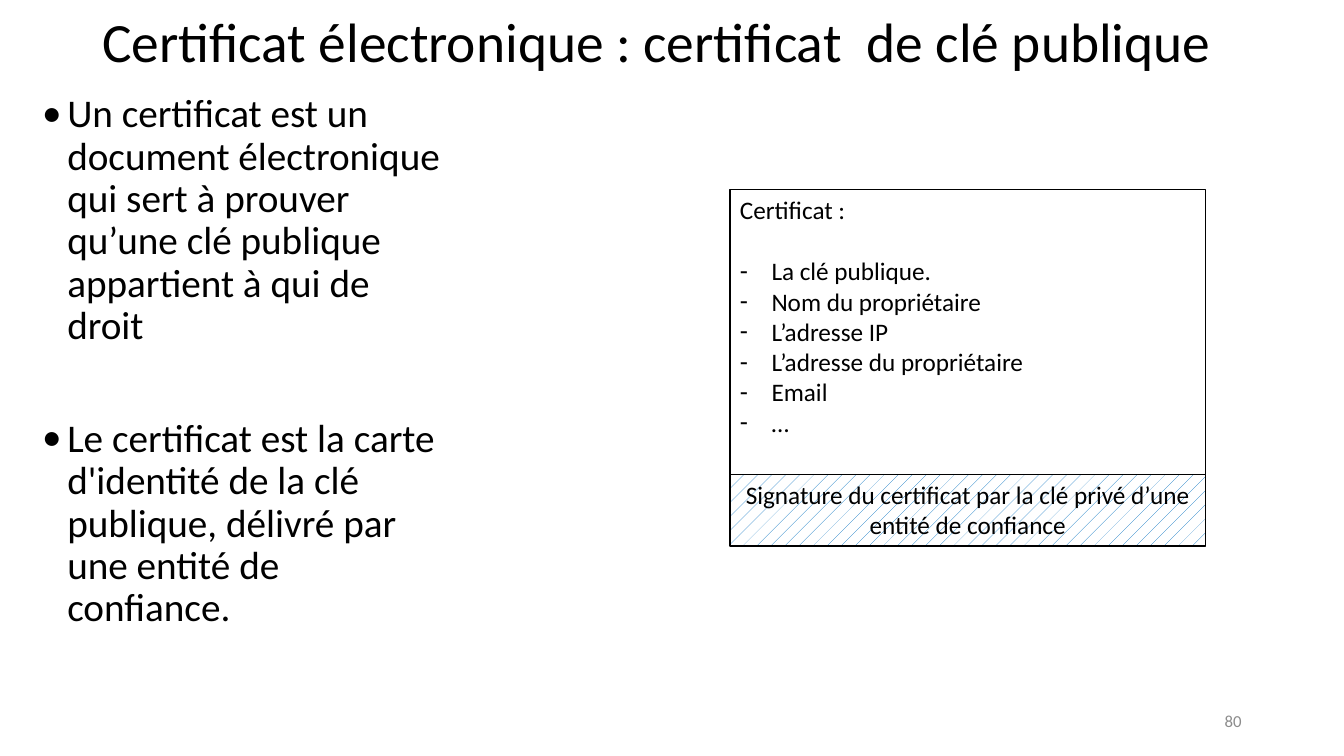
"""Build the slide on public key certificates."""
from lxml.etree import SubElement
from pptx import Presentation
from pptx.dml.color import RGBColor
from pptx.enum.dml import MSO_PATTERN
from pptx.enum.shapes import MSO_SHAPE
from pptx.enum.text import MSO_ANCHOR, PP_ALIGN
from pptx.oxml.ns import qn
from pptx.util import Pt

BLACK = RGBColor(0x00, 0x00, 0x00)
WHITE = RGBColor(0xFF, 0xFF, 0xFF)
BLUE = RGBColor(0x00, 0x70, 0xC0)
GREY = RGBColor(0x8C, 0x8C, 0x8C)
FONT = "Calibri"
POINTS = [
    "Un certificat est un document électronique qui sert à prouver "
    "qu’une clé publique appartient à qui de droit",
    "Le certificat est la carte d'identité de la clé publique, "
    "délivré par une entité de confiance.",
]
FIELDS = [
    "La clé publique.",
    "Nom du propriétaire",
    "L’adresse IP",
    "L’adresse du propriétaire",
    "Email",
    "…",
]


def write_line(frame, text, size, color=BLACK, align=PP_ALIGN.LEFT, before=0, spacing=1.0):
    """Write one paragraph, using the first one while it is still empty."""
    para = frame.paragraphs[0]
    if para.runs:
        para = frame.add_paragraph()
    para.alignment = align
    para.line_spacing = spacing
    para.space_before = Pt(before)
    span = para.add_run()
    span.text = text
    span.font.size = Pt(size)
    span.font.name = FONT
    span.font.color.rgb = color
    return para


def add_bullet(para, symbol, indent):
    """Give a paragraph a bullet with a hanging indent."""
    properties = para._p.get_or_add_pPr()
    properties.set("marL", str(Pt(indent)))
    properties.set("indent", str(-Pt(indent)))
    SubElement(properties, qn("a:buFont"), typeface=FONT)
    SubElement(properties, qn("a:buChar"), char=symbol)


def add_text(page, left, top, width, height, anchor=MSO_ANCHOR.TOP):
    """Add a wrapping text box and return its frame."""
    box = page.shapes.add_textbox(Pt(left), Pt(top), Pt(width), Pt(height))
    box.text_frame.word_wrap = True
    box.text_frame.vertical_anchor = anchor
    return box.text_frame


def add_panel(page, left, top, width, height):
    """Add a rectangle with a thin black outline."""
    panel = page.shapes.add_shape(
        MSO_SHAPE.RECTANGLE, Pt(left), Pt(top), Pt(width), Pt(height))
    panel.shadow.inherit = False
    panel.line.color.rgb = BLACK
    panel.line.width = Pt(1)
    panel.text_frame.word_wrap = True
    panel.text_frame.vertical_anchor = MSO_ANCHOR.TOP
    return panel


def add_title(page, left, top, width, height):
    """Place the slide title."""
    frame = add_text(page, left, top, width, height, MSO_ANCHOR.MIDDLE)
    write_line(frame, "Certificat électronique : certificat  de clé publique", 39.6, spacing=0.9)


def add_definition(page, left, top, width, height):
    """Place the two bulleted statements, set well apart."""
    frame = add_text(page, left, top, width, height)
    for text, before in zip(POINTS, (10, 50.5)):
        add_bullet(write_line(frame, text, 28, before=before, spacing=0.9), "•", 18)


def add_certificate(page, left, top, width, height, signature_height):
    """Draw the certificate with its fields above its signature."""
    fields_height = height - signature_height
    content = add_panel(page, left, top, width, fields_height)
    content.fill.solid()
    content.fill.fore_color.rgb = WHITE
    write_line(content.text_frame, "Certificat :", 18)
    for index, field in enumerate(FIELDS):
        para = write_line(content.text_frame, field, 18, before=0 if index else 22)
        add_bullet(para, "‐", 22.5)

    signature = add_panel(page, left, top + fields_height, width, signature_height)
    signature.fill.patterned()
    signature.fill.pattern = MSO_PATTERN.PERCENT_5
    signature.fill.fore_color.rgb = BLUE
    signature.fill.back_color.rgb = WHITE
    write_line(signature.text_frame,
               "Signature du certificat par la clé privé d’une entité de confiance",
               18, align=PP_ALIGN.CENTER)


def add_page_number(page, left, top, width, height):
    """Place the page number at the lower right."""
    frame = add_text(page, left, top, width, height, MSO_ANCHOR.MIDDLE)
    write_line(frame, "80", 12, GREY, PP_ALIGN.RIGHT)


def main():
    """Build and save the deck."""
    deck = Presentation()
    deck.slide_width, deck.slide_height = Pt(960), Pt(540)
    page = deck.slides.add_slide(deck.slide_layouts[6])
    add_title(page, 66, 0, 828, 63.5)
    add_definition(page, 23, 63.5, 301, 463.5)
    add_certificate(page, 521.5, 135.5, 339.5, 254.5, 51)
    add_page_number(page, 678, 500.5, 216, 28.75)
    deck.save("out.pptx")


if __name__ == "__main__":
    main()
